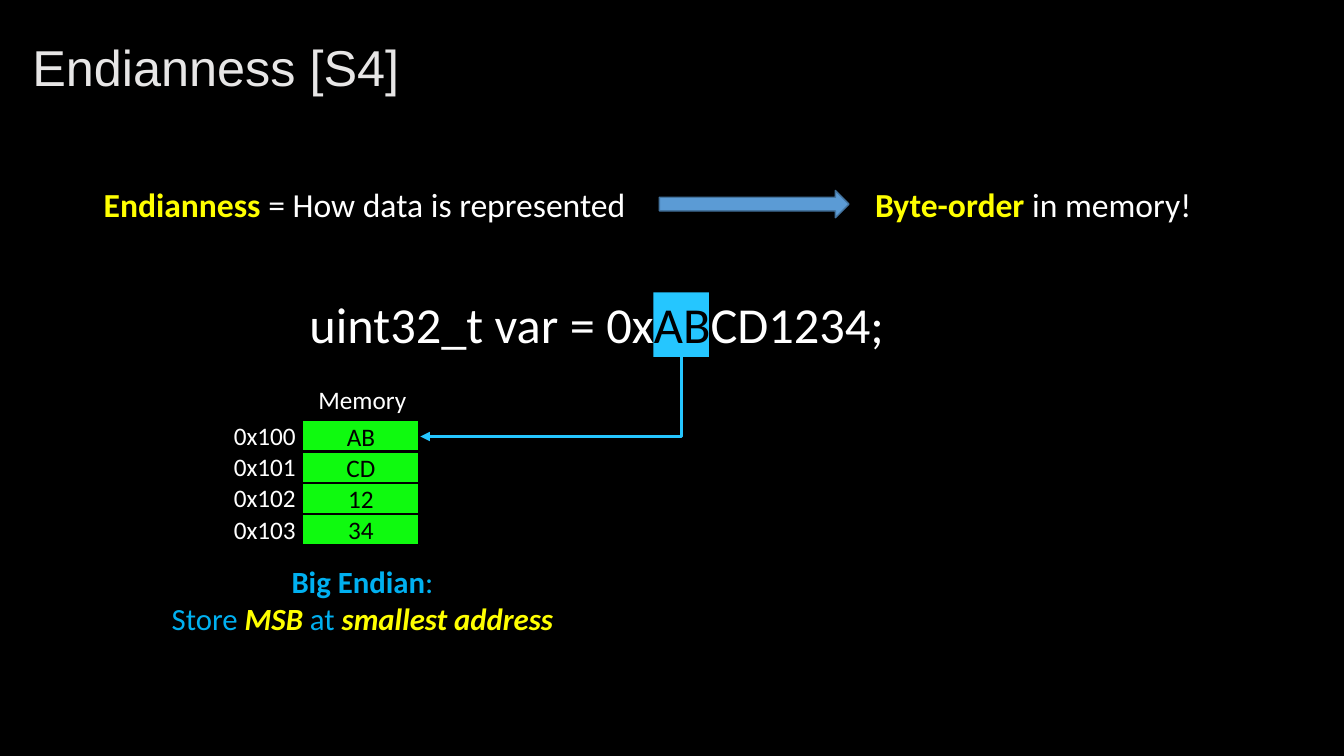
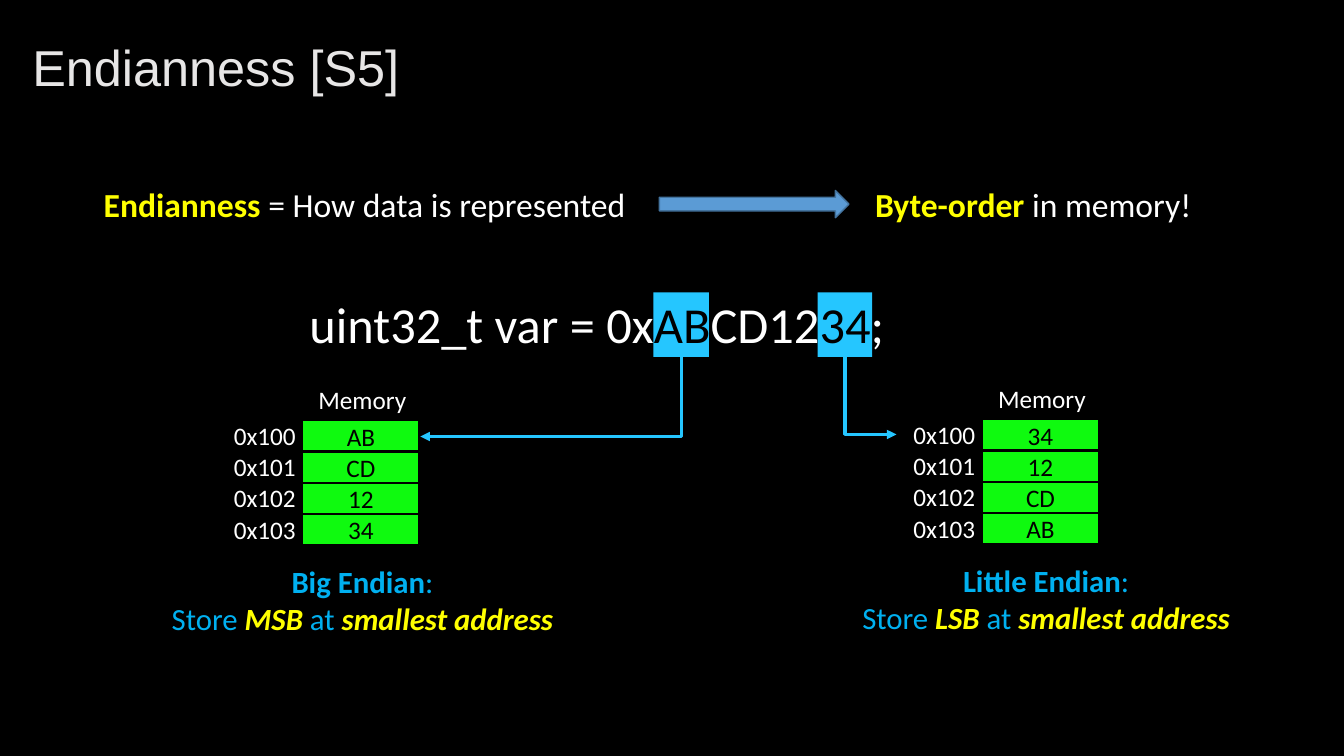
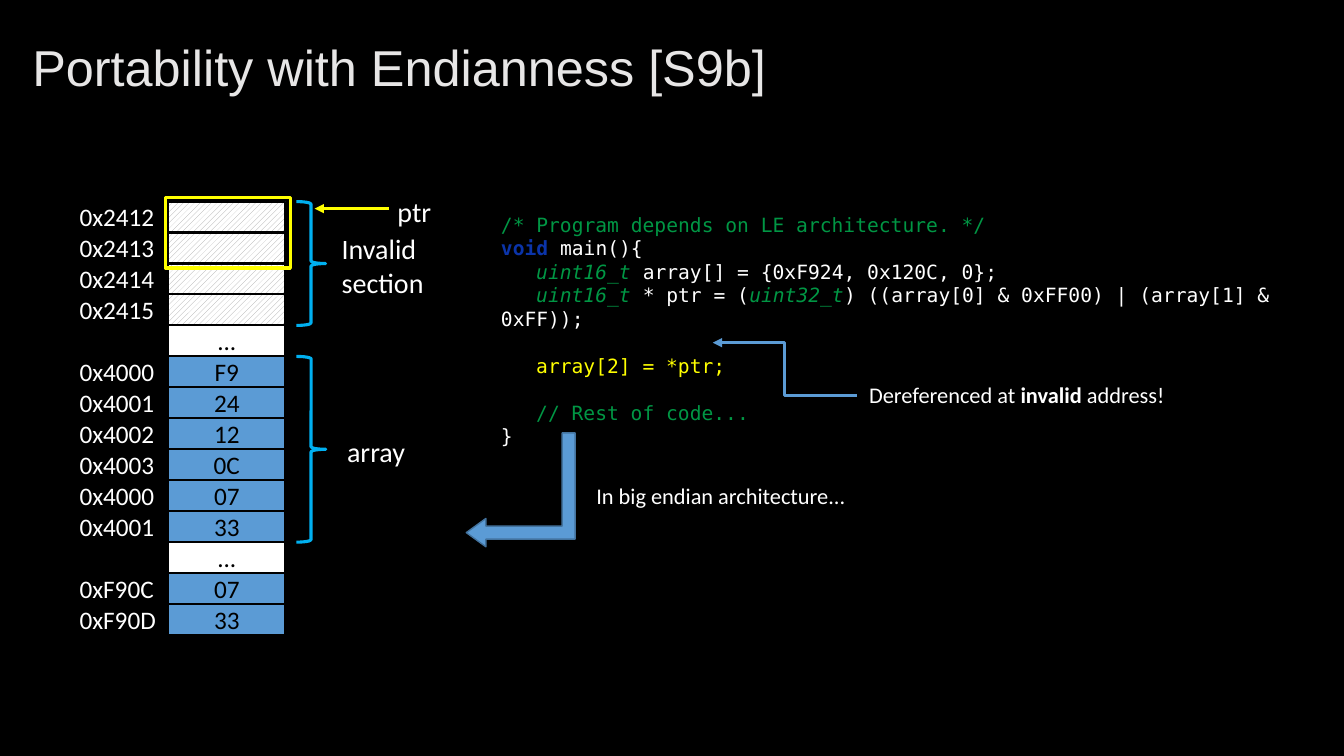
from lxml import etree
from pptx import Presentation
from pptx.dml.color import RGBColor
from pptx.enum.dml import MSO_PATTERN
from pptx.enum.shapes import MSO_CONNECTOR, MSO_SHAPE
from pptx.enum.text import MSO_ANCHOR, MSO_AUTO_SIZE, PP_ALIGN
from pptx.oxml.ns import qn
from pptx.util import Inches, Pt

LEFT, CENTER = PP_ALIGN.LEFT, PP_ALIGN.CENTER
MIDDLE = MSO_ANCHOR.MIDDLE
FIT_TEXT = MSO_AUTO_SIZE.SHAPE_TO_FIT_TEXT
STRAIGHT, ELBOW = MSO_CONNECTOR.STRAIGHT, MSO_CONNECTOR.ELBOW
RECT, BRACE = MSO_SHAPE.RECTANGLE, MSO_SHAPE.RIGHT_BRACE
RIGHT_ARROW, BENT_ARROW = MSO_SHAPE.RIGHT_ARROW, MSO_SHAPE.BENT_UP_ARROW
HATCH = MSO_PATTERN.WIDE_UPWARD_DIAGONAL

COLORS = {
    "black": "000000", "white": "FFFFFF", "title": "E7E6E6", "yellow": "FFFF00",
    "sky": "25C6FF", "cyan": "00B0F0", "lime": "0FFA0F", "blue": "5B9BD5",
    "edge": "43739E", "grey": "A6A6A6", "green": "009644", "navy": "0B34A9",
}
BODY_FONT, TITLE_FONT, CODE_FONT = "Calibri", "Arial", "DejaVu Sans Mono"

# A run is (text, colour, style); style holds "b" for bold and "i" for italic.
DEFINITION = [("Endianness", "yellow", "b"), (" = How data is represented", "white", "")]
MEANING = [("Byte-order ", "yellow", "b"), ("in memory!", "white", "")]

BIG = {
    "name": "Big Endian", "byte": "MSB", "bytes": ["AB", "CD", "12", "34"],
    "left": 3, "top": 4.17, "caption": (1.58, 4.03),
    "highlight": (6.48, 0.55), "arrow": (6.76, 4.17, 4.33),
}
LITTLE = {
    "name": "Little Endian", "byte": "LSB", "bytes": ["34", "12", "CD", "AB"],
    "left": 9.74, "top": 4.16, "caption": (8.43, 3.89),
    "highlight": (8.11, 0.54), "arrow": (8.38, 8.89, 4.31),
}
ENDIAN_SLIDES = [
    ("Endianness [S4]", [BIG], ["uint32_t var = 0x", "AB", "CD1234;"]),
    ("Endianness [S5]", [BIG, LITTLE], ["uint32_t var = 0x", "AB", "CD12", "34", ";"]),
]

# (address, value, fill)
MEMORY_MAP = [
    ("0x2412", "", "hatch"), ("0x2413", "", "hatch"),
    ("0x2414", "", "hatch"), ("0x2415", "", "hatch"),
    ("", "...", "white"),
    ("0x4000", "F9", "blue"), ("0x4001", "24", "blue"),
    ("0x4002", "12", "blue"), ("0x4003", "0C", "blue"),
    ("0x4000", "07", "blue"), ("0x4001", "33", "blue"),
    ("", "...", "white"),
    ("0xF90C", "07", "blue"), ("0xF90D", "33", "blue"),
]
# (indented, gap before, runs)
CODE = [
    (False, False, [("/* Program depends on LE architecture. */", "green", "")]),
    (False, False, [("void", "navy", "b"), (" main(){", "white", "")]),
    (True, False, [("uint16_t", "green", "i"),
                   (" array[] = {0xF924, 0x120C, 0};", "white", "")]),
    (True, False, [("uint16_t", "green", "i"), (" * ptr = (", "white", ""),
                   ("uint32_t", "green", "i"),
                   (") ((array[0] & 0xFF00) | (array[1] & 0xFF));", "white", "")]),
    (True, True, [("array[2] = *ptr;", "yellow", "")]),
    (True, True, [("// Rest of code...", "green", "")]),
    (False, False, [("}", "white", "")]),
]
WARNING = [("Dereferenced at ", "white", ""), ("invalid", "white", "b"),
           (" address!", "white", "")]

CELL_W = 1.16


def rgb(name):
    return RGBColor.from_string(COLORS[name])


def inches(*values):
    return [Inches(v) for v in values]


def style_run(r, size, color, style="", font=BODY_FONT):
    r.font.size, r.font.name = Pt(size), font
    r.font.color.rgb = rgb(color)
    r.font.bold, r.font.italic = "b" in style, "i" in style


def add_text(slide, box, lines, size=18, align=LEFT, wrap=False, font=BODY_FONT):
    """Add a text box; lines is a list of run lists."""
    sp = slide.shapes.add_textbox(*inches(*box))
    tf = sp.text_frame
    tf.word_wrap, tf.auto_size = wrap, FIT_TEXT
    for i, runs in enumerate(lines):
        p = tf.add_paragraph() if i else tf.paragraphs[0]
        p.alignment = align
        for text, color, style in runs:
            r = p.add_run()
            r.text = text
            style_run(r, size, color, style, font)
    return sp


def add_label(slide, box, *lines, size=18, align=LEFT):
    return add_text(slide, box, [[(t, "white", "")] for t in lines], size, align)


def add_shape(slide, kind, box, fill=None, line=None, width=1.5):
    sp = slide.shapes.add_shape(kind, *inches(*box))
    sp.shadow.inherit = False
    if fill == "hatch":
        sp.fill.patterned()
        sp.fill.pattern = HATCH
        sp.fill.fore_color.rgb, sp.fill.back_color.rgb = rgb("grey"), rgb("white")
    elif fill:
        sp.fill.solid()
        sp.fill.fore_color.rgb = rgb(fill)
    else:
        sp.fill.background()
    if line:
        sp.line.color.rgb, sp.line.width = rgb(line), Pt(width)
    else:
        sp.line.fill.background()
    return sp


def add_arrow(slide, kind, start, end, color):
    c = slide.shapes.add_connector(kind, *inches(*start, *end))
    c.line.color.rgb, c.line.width = rgb(color), Pt(2.25)
    props = c._element.spPr
    etree.SubElement(props.find(qn("a:ln")), qn("a:tailEnd"), type="triangle")
    etree.SubElement(props, qn("a:effectLst"))
    return c


def add_corner_arrow(slide, x1, y1, x2, y2, color):
    """Arrow that runs down first and then sideways."""
    run, drop = abs(x2 - x1), y2 - y1
    left, top = (x1 + x2 - drop) / 2, (y1 + y2 - run) / 2
    c = add_arrow(slide, ELBOW, (left, top), (left + drop, top + run), color)
    props = c._element.spPr
    props.find(qn("a:prstGeom")).set("prst", "bentConnector2")
    xfrm = props.find(qn("a:xfrm"))
    xfrm.set("rot", str((90 if x2 < x1 else 270) * 60000))
    if x2 > x1:
        xfrm.set("flipH", "1")


def add_memory(slide, left, top, row_h, rows, label_left, label_w):
    for i, (address, value, fill) in enumerate(rows):
        y = top + i * row_h
        cell = add_shape(slide, RECT, (left, y, CELL_W, row_h), fill, "black")
        if value:
            tf = cell.text_frame
            tf.text, tf.vertical_anchor = value, MIDDLE
            tf.paragraphs[0].alignment = CENTER
            style_run(tf.paragraphs[0].runs[0], 18, "black")
        if address:
            add_label(slide, (label_left, y - 0.05, label_w, 0.4), address)


def add_slide(prs, layout, title):
    slide = prs.slides.add_slide(layout)
    tf = slide.shapes.title.text_frame
    tf.text, tf.vertical_anchor = title, MIDDLE
    p = tf.paragraphs[0]
    p.alignment, p.line_spacing = LEFT, 0.9
    style_run(p.runs[0], 36, "title", font=TITLE_FONT)
    return slide


def add_byte_order(slide, order):
    left, top = order["left"], order["top"]
    rows = [(f"0x10{i}", b, "lime") for i, b in enumerate(order["bytes"])]
    add_memory(slide, left, top, 0.31, rows, left - 0.78, 0.85)
    add_label(slide, (left + 0.06, top - 0.41, 1.08, 0.4), "Memory")
    caption_left, caption_w = order["caption"]
    add_text(slide, (caption_left, top + 1.36, caption_w, 0.84), [
        [(order["name"], "cyan", "b"), (":", "cyan", "")],
        [("Store ", "cyan", ""), (order["byte"], "yellow", "bi"),
         (" at ", "cyan", ""), ("smallest address", "yellow", "bi")],
    ], 22, CENTER)
    x1, x2, y2 = order["arrow"]
    add_corner_arrow(slide, x1, 3.54, x2, y2, "sky")


def build_endian_slide(prs, layout, title, orders, declaration):
    slide = add_slide(prs, layout, title)
    for order in orders:
        x, w = order["highlight"]
        add_shape(slide, RECT, (x, 2.9, w, 0.64), "sky")
    runs = [(t, "black" if i % 2 else "white", "") for i, t in enumerate(declaration)]
    add_text(slide, (2.97, 2.86, 6.01, 0.71), [runs], 36, wrap=True)
    for order in orders:
        add_byte_order(slide, order)
    add_text(slide, (0.93, 1.78, 5.94, 0.5), [DEFINITION], 24)
    add_shape(slide, RIGHT_ARROW, (6.54, 1.89, 1.88, 0.27), "blue", "edge", 1)
    add_text(slide, (8.58, 1.78, 3.69, 0.5), [MEANING], 24)


def add_code(slide):
    sp = add_text(slide, (4.87, 2.06, 8.19, 2.22), [runs for _, _, runs in CODE],
                  14, wrap=True, font=CODE_FONT)
    for p, (indented, gap, _) in zip(sp.text_frame.paragraphs, CODE):
        if indented:
            props = p._p.get_or_add_pPr()
            props.set("marL", "0")
            props.set("indent", str(Inches(0.35)))
        if gap:
            p.space_before = Pt(16.8)


def build_portability_slide(prs, layout):
    slide = add_slide(prs, layout, "Portability with Endianness [S9b]")
    top, row_h = 2, 4.3 / len(MEMORY_MAP)
    add_memory(slide, 1.67, top, row_h, MEMORY_MAP, 0.69, 1.05)
    for first_row, count in ((0, 4), (5, 6)):
        box = (2.94, top + first_row * row_h, 0.29, count * row_h)
        add_shape(slide, BRACE, box, line="cyan", width=2.25)
    add_label(slide, (3.29, 2.25, 1.03, 0.77), "Invalid", "section", size=20)
    add_label(slide, (3.34, 4.26, 0.78, 0.44), "array", size=20, align=CENTER)
    add_label(slide, (3.84, 1.88, 0.54, 0.44), "ptr", size=20, align=CENTER)
    add_shape(slide, RECT, (1.64, 1.96, 1.24, 0.7), line="yellow", width=2.25)
    add_arrow(slide, STRAIGHT, (3.86, 2.07), (3.12, 2.07), "yellow")

    add_code(slide)
    turn = add_shape(slide, BENT_ARROW, (4.6, 4.32, 1.13, 1.08), "blue", "edge", 1)
    turn.rotation = 90
    turn._element.spPr.find(qn("a:xfrm")).set("flipV", "1")
    for i, value in enumerate((0.12, 0.13, 0.18)):
        turn.adjustments[i] = value
    add_text(slide, (8.5, 3.73, 3.17, 0.37), [WARNING], 16, CENTER)
    add_arrow(slide, ELBOW, (8.5, 3.92), (7.07, 3.4), "blue")
    add_label(slide, (5.8, 4.73, 2.7, 0.37), "In big endian architecture...",
              size=16, align=CENTER)


def main():
    prs = Presentation()
    prs.slide_width, prs.slide_height = inches(13.33, 7.5)
    background = prs.slide_master.background.fill
    background.solid()
    background.fore_color.rgb = rgb("black")
    layout = prs.slide_layouts.get_by_name("Title Only")
    title = layout.placeholders[0]
    title.left, title.top, title.width, title.height = inches(0.22, 0.21, 12.89, 0.97)
    for content in ENDIAN_SLIDES:
        build_endian_slide(prs, layout, *content)
    build_portability_slide(prs, layout)
    prs.save("out.pptx")


if __name__ == "__main__":
    main()
